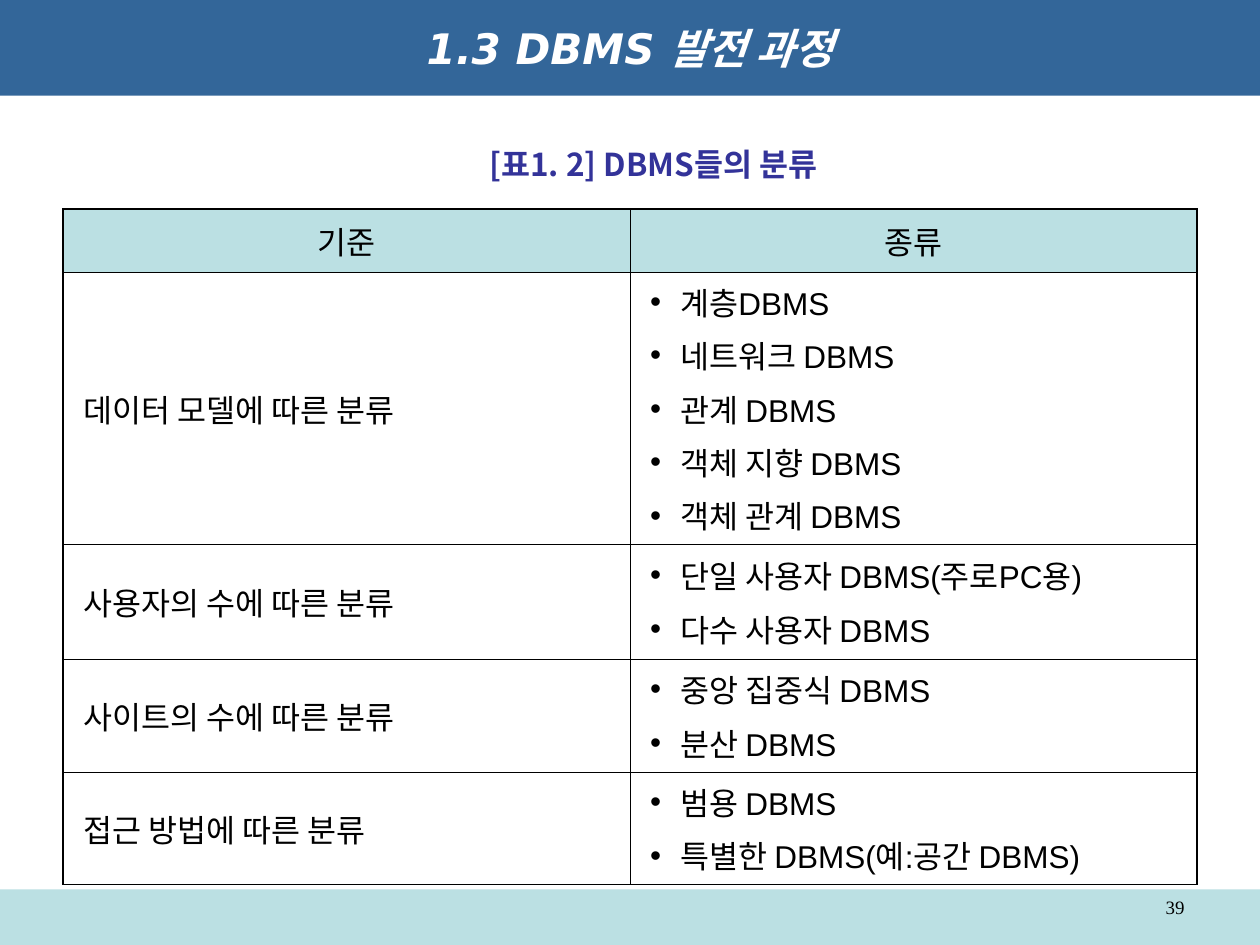
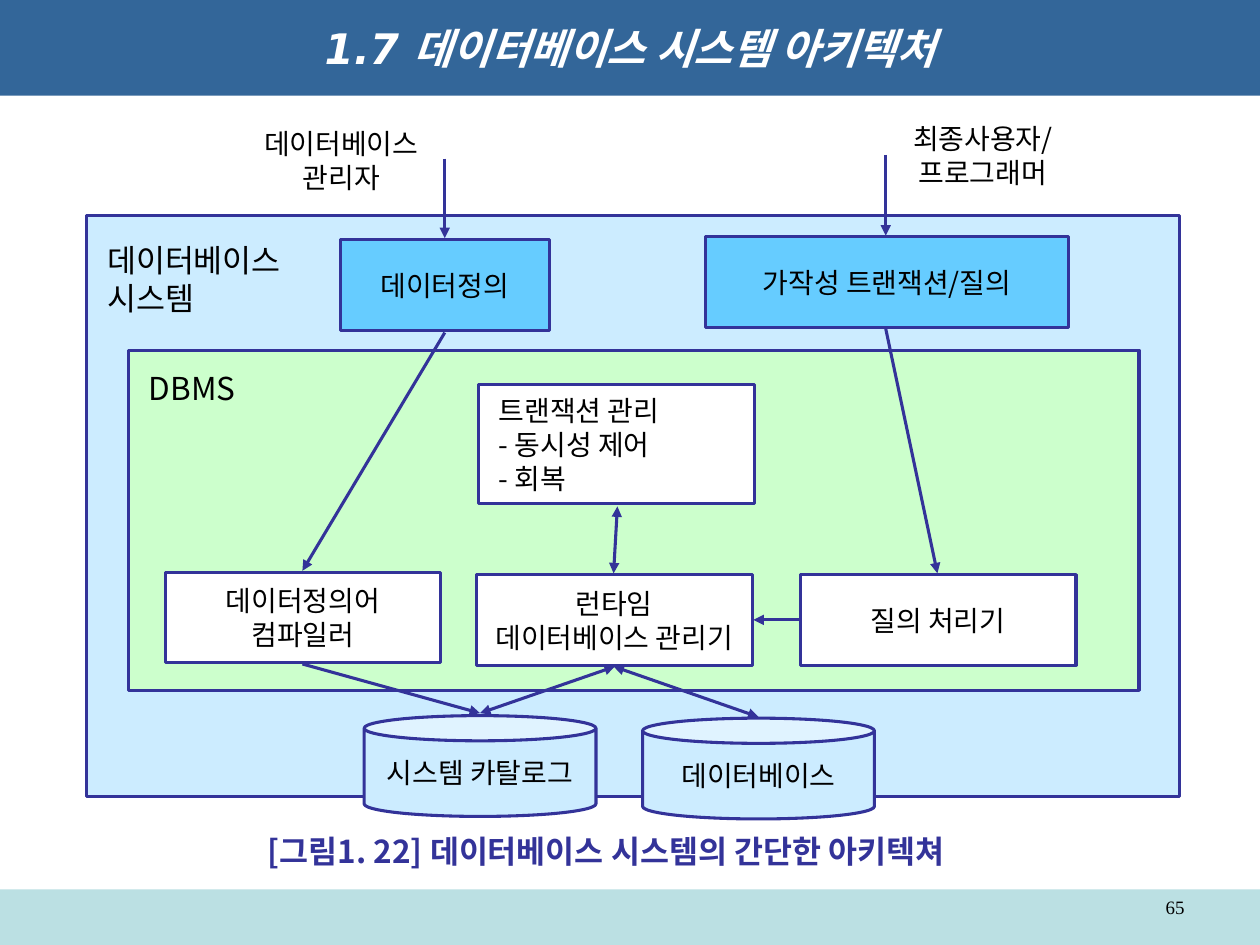
from dataclasses import dataclass

from lxml import etree
from pptx import Presentation
from pptx.dml.color import RGBColor
from pptx.enum.shapes import MSO_CONNECTOR, MSO_SHAPE as SHAPE
from pptx.enum.text import MSO_ANCHOR as ANCHOR, PP_ALIGN as ALIGN
from pptx.oxml.ns import qn
from pptx.util import Inches, Pt

COLORS = {
    "title_band": "336699",
    "footer_band": "BBE0E3",
    "navy": "333399",
    "system": "CCECFF",
    "dbms": "CCFFCC",
    "interface": "66CCFF",
    "white": "FFFFFF",
    "black": "000000",
}
KOREAN_FONT = "Noto Sans CJK KR"
DIAGRAM_FONT = "Noto Sans CJK JP"
LINE_WIDTH = Pt(1.75)
OUTER_BORDER, INNER_BORDER = Pt(1.08), Pt(0.45)
LINE_RATIO = 1.21  # fixed line height relative to the text size


@dataclass(frozen=True)
class TextStyle:
    size: float
    font: str
    color: str = "black"
    bold: bool = False
    italic: bool = False
    align: ALIGN = ALIGN.CENTER
    fixed_lines: bool = False


TITLE = TextStyle(24, "DejaVu Sans", "white", bold=True, italic=True)
CAPTION = TextStyle(18, KOREAN_FONT, "navy", bold=True, fixed_lines=True)
PAGE_NUMBER = TextStyle(10.8, "Times New Roman", align=ALIGN.RIGHT)
HEADER_CELL = TextStyle(18, "Arial")
BODY_CELL = TextStyle(18, "Arial", align=ALIGN.LEFT)
NODE = TextStyle(16, DIAGRAM_FONT, fixed_lines=True)
NODE_LEFT = TextStyle(16, DIAGRAM_FONT, align=ALIGN.LEFT, fixed_lines=True)
PANEL = TextStyle(18, DIAGRAM_FONT, align=ALIGN.LEFT, fixed_lines=True)


@dataclass(frozen=True)
class Node:
    text: str
    left: float
    top: float
    width: float
    height: float
    fill: str = "white"
    style: TextStyle = NODE
    shape: SHAPE = SHAPE.RECTANGLE
    label_top: float | None = None  # label offset; None centres the label


@dataclass(frozen=True)
class Arrow:
    x1: float
    y1: float
    x2: float
    y2: float
    both_ends: bool = False


CLASSIFICATION = [
    ("데이터 모델에 따른 분류", 2.16,
     ["계층DBMS", "네트워크 DBMS", "관계 DBMS", "객체 지향 DBMS", "객체 관계 DBMS"]),
    ("사용자의 수에 따른 분류", 0.91, ["단일 사용자 DBMS(주로PC용)", "다수 사용자 DBMS"]),
    ("사이트의 수에 따른 분류", 0.9, ["중앙 집중식 DBMS", "분산 DBMS"]),
    ("접근 방법에 따른 분류", 0.89, ["범용 DBMS", "특별한 DBMS(예:공간 DBMS)"]),
]

NODES = [
    Node("데이터베이스\n시스템", 0.69, 1.71, 8.67, 4.61, "system", PANEL, label_top=0.2),
    Node("DBMS", 1.02, 2.78, 8.02, 2.7, "dbms", PANEL, label_top=0.15),
    Node("시스템 카탈로그", 2.89, 5.68, 1.84, 0.8, "system", shape=SHAPE.CAN),
    Node("데이터베이스", 5.1, 5.7, 1.84, 0.8, "system", shape=SHAPE.CAN),
    Node("런타임\n데이터베이스 관리기", 3.78, 4.56, 2.19, 0.72),
    Node("데이터정의어\n컴파일러", 1.31, 4.54, 2.19, 0.72),
    Node("질의 처리기", 6.35, 4.56, 2.19, 0.72),
    Node("트랜잭션 관리\n- 동시성 제어\n- 회복", 3.8, 3.05, 2.19, 0.95, style=NODE_LEFT),
    Node("데이터정의", 2.7, 1.9, 1.66, 0.72, "interface"),
    Node("가작성 트랜잭션/질의", 5.6, 1.88, 2.88, 0.72, "interface"),
]

ARROWS = [
    Arrow(3.53, 1.26, 3.53, 1.89),
    Arrow(7.03, 1.23, 7.03, 1.87),
    Arrow(3.53, 2.64, 2.4, 4.53),
    Arrow(4.9, 4.02, 4.87, 4.55, both_ends=True),
    Arrow(6.34, 4.92, 5.98, 4.92),
    Arrow(7.03, 2.61, 7.44, 4.55),
    Arrow(2.4, 5.27, 3.81, 5.66),
    Arrow(4.88, 5.29, 3.81, 5.66, both_ends=True),
    Arrow(4.87, 5.29, 6.02, 5.69, both_ends=True),
]


def rgb(name: str) -> RGBColor:
    return RGBColor.from_string(COLORS[name])


def style_text(tf, style: TextStyle) -> None:
    for p in tf.paragraphs:
        p.alignment = style.align
        if style.fixed_lines:
            p.line_spacing = Pt(round(style.size * LINE_RATIO, 1))
        for r in p.runs:
            font = r.font
            font.size, font.name = Pt(style.size), style.font
            font.bold, font.italic = style.bold, style.italic
            font.color.rgb = rgb(style.color)
            ea = etree.Element(qn("a:ea"), typeface=KOREAN_FONT)
            r._r.get_or_add_rPr().find(qn("a:latin")).addnext(ea)


def set_margins(target, side: float) -> None:
    target.margin_left = target.margin_right = Inches(side)
    target.margin_top = target.margin_bottom = Inches(0.05)


def add_box(slide, shape: SHAPE, left: float, top: float, width: float,
            height: float, fill: str, line: str | None = None):
    sp = slide.shapes.add_shape(shape, Inches(left), Inches(top), Inches(width), Inches(height))
    sp.shadow.inherit = False
    sp.fill.solid()
    sp.fill.fore_color.rgb = rgb(fill)
    if line:
        sp.line.color.rgb = rgb(line)
        sp.line.width = LINE_WIDTH
    else:
        sp.line.fill.background()
    return sp


def add_label(slide, text: str, left: float, top: float, width: float,
              height: float, style: TextStyle, side: float = 0.1) -> None:
    tf = slide.shapes.add_textbox(
        Inches(left), Inches(top), Inches(width), Inches(height)).text_frame
    tf.word_wrap = True
    set_margins(tf, side)
    tf.text = text
    style_text(tf, style)


def add_base_slide(prs, title: str, number: int):
    """Add a slide with its title band, footer band and page number."""
    slide = prs.slides.add_slide(prs.slide_layouts[6])
    add_box(slide, SHAPE.RECTANGLE, 0, 7.06, 10, 0.44, "footer_band")
    tf = add_box(slide, SHAPE.RECTANGLE, 0, 0, 10, 0.76, "title_band").text_frame
    tf.vertical_anchor = ANCHOR.MIDDLE
    tf.text = title
    style_text(tf, TITLE)
    add_label(slide, str(number), 7.17, 7.06, 2.33, 0.29, PAGE_NUMBER)
    return slide


def add_bullet(p) -> None:
    pPr = p._p.get_or_add_pPr()
    pPr.set("marL", str(Inches(0.24)))
    pPr.set("indent", str(Inches(-0.24)))
    etree.SubElement(pPr, qn("a:buFont"), typeface="Arial")
    etree.SubElement(pPr, qn("a:buChar"), char="•")


def set_borders(cell, widths: dict[str, int]) -> None:
    tcPr = cell._tc.get_or_add_tcPr()
    for side, width in widths.items():
        ln = etree.SubElement(tcPr, qn(f"a:ln{side}"), w=str(width))
        fill = etree.SubElement(ln, qn("a:solidFill"))
        etree.SubElement(fill, qn("a:srgbClr"), val=COLORS["black"])


def fill_cell(cell, lines: list[str], style: TextStyle, fill: str, bullets: bool) -> None:
    cell.fill.solid()
    cell.fill.fore_color.rgb = rgb(fill)
    cell.vertical_anchor = ANCHOR.MIDDLE
    set_margins(cell, 0.16)
    tf = cell.text_frame
    tf.text = "\n".join(lines)
    for i, p in enumerate(tf.paragraphs):
        if bullets:
            add_bullet(p)
        if i:
            p.space_before = Pt(4.5)
    style_text(tf, style)


def add_classification_table(slide) -> None:
    rows = [("기준", 0.5, ["종류"])] + CLASSIFICATION
    height = sum(row[1] for row in rows)
    table = slide.shapes.add_table(
        len(rows), 2, Inches(0.5), Inches(1.66), Inches(9), Inches(height)).table
    table.first_row = table.horz_banding = False
    last = len(rows) - 1
    for i, (criterion, row_height, kinds) in enumerate(rows):
        table.rows[i].height = Inches(row_height)
        header = i == 0
        for j, lines in enumerate(([criterion], kinds)):
            edges = {"L": j == 0, "R": j == 1, "T": header, "B": i == last}
            cell = table.cell(i, j)
            set_borders(cell, {side: OUTER_BORDER if outer else INNER_BORDER
                               for side, outer in edges.items()})
            fill_cell(cell, lines, HEADER_CELL if header else BODY_CELL,
                      "footer_band" if header else "white", j == 1 and not header)


def add_node(slide, node: Node) -> None:
    sp = add_box(slide, node.shape, node.left, node.top, node.width, node.height,
                 node.fill, "navy")
    tf = sp.text_frame
    set_margins(tf, 0.16)
    tf.word_wrap = node.style.align == ALIGN.LEFT
    tf.vertical_anchor = ANCHOR.MIDDLE
    if node.label_top is not None:
        tf.vertical_anchor = ANCHOR.TOP
        tf.margin_top = Inches(node.label_top)
    tf.text = node.text
    style_text(tf, node.style)


def add_arrow(slide, arrow: Arrow) -> None:
    line = slide.shapes.add_connector(
        MSO_CONNECTOR.STRAIGHT, Inches(arrow.x1), Inches(arrow.y1),
        Inches(arrow.x2), Inches(arrow.y2))
    line.line.color.rgb = rgb("navy")
    line.line.width = LINE_WIDTH
    spPr = line._element.spPr
    ln = spPr.find(qn("a:ln"))
    for end in ("headEnd", "tailEnd") if arrow.both_ends else ("tailEnd",):
        etree.SubElement(ln, qn(f"a:{end}"), type="triangle")
    etree.SubElement(spPr, qn("a:effectLst"))


def build_classification(prs) -> None:
    slide = add_base_slide(prs, "1.3 DBMS 발전 과정", 39)
    add_classification_table(slide)
    add_label(slide, "[표1. 2] DBMS들의 분류", 2.6, 1.1, 5.17, 0.4, CAPTION)


def build_architecture(prs) -> None:
    slide = add_base_slide(prs, "1.7 데이터베이스 시스템 아키텍처", 65)
    for node in NODES:
        add_node(slide, node)
    add_label(slide, "데이터베이스\n관리자", 1.91, 0.95, 1.6, 0.64, NODE, 0.16)
    add_label(slide, "최종사용자/\n프로그래머", 7.04, 0.91, 1.52, 0.64, NODE, 0.16)
    for arrow in ARROWS:
        add_arrow(slide, arrow)
    add_label(slide, "[그림1. 22] 데이터베이스 시스템의 간단한 아키텍쳐",
              1.27, 6.55, 7.08, 0.4, CAPTION)


def main() -> None:
    prs = Presentation()
    prs.slide_width, prs.slide_height = Inches(10), Inches(7.5)
    build_classification(prs)
    build_architecture(prs)
    prs.save("out.pptx")


if __name__ == "__main__":
    main()
